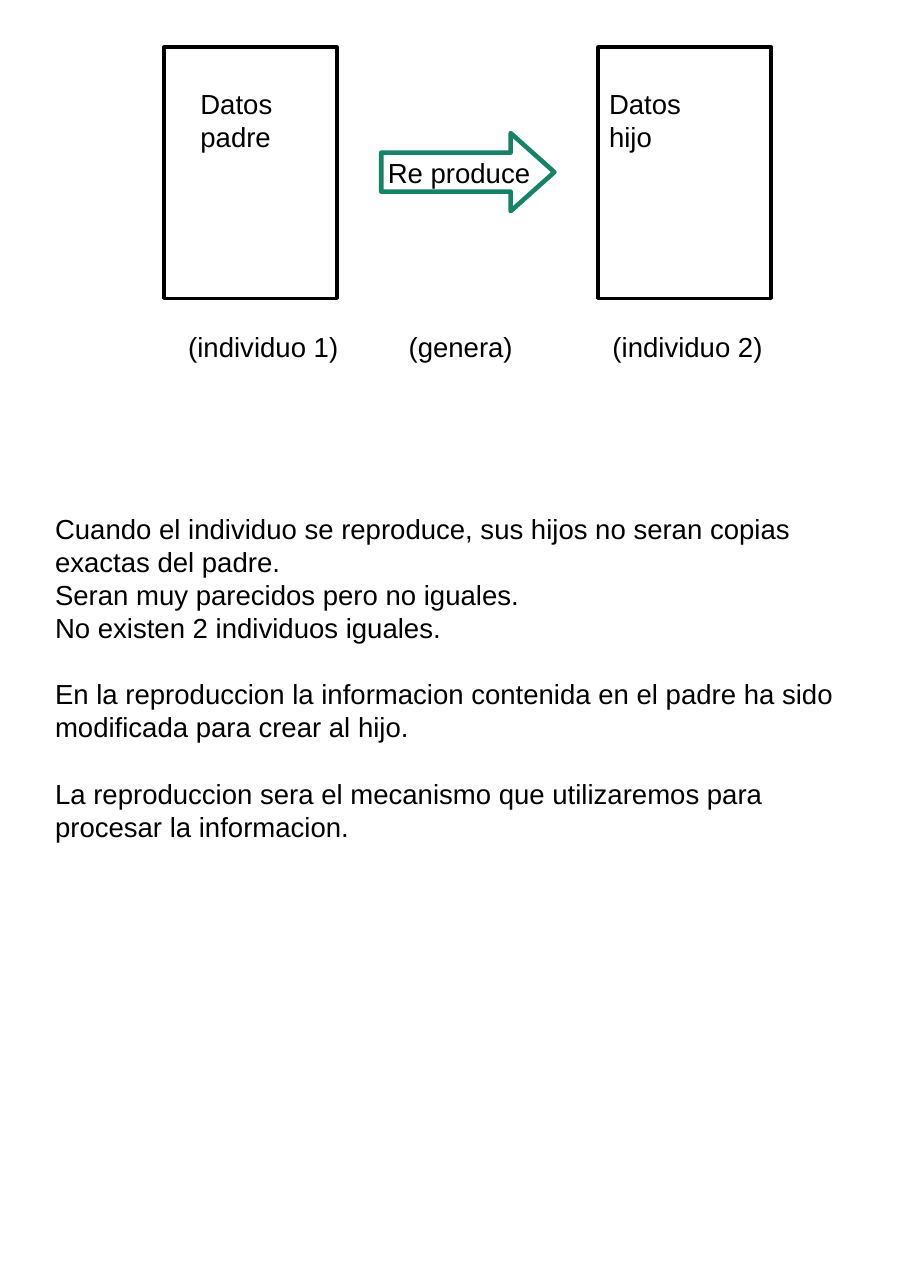
"""Build the slide on how a parent individual reproduces into a child."""
from dataclasses import dataclass

from pptx import Presentation
from pptx import util as u
from pptx.dml.color import RGBColor
from pptx.enum import shapes, text

BLACK, GREEN = "000000", "158466"
FRAME_TOP, FRAME_WIDTH, FRAME_HEIGHT = 1.09, 3.99, 5.79
DATA_TOP, CAPTION_TOP = 1.88, 7.49
LINE_GAP = 21.7


@dataclass(frozen=True)
class Individual:
    frame_left: float
    data_left: float
    data_width: float
    data: tuple[str, ...]


@dataclass(frozen=True)
class Caption:
    left: float
    wording: str


INDIVIDUALS = (
    Individual(3.78, 4.37, 2.74, ("Datos", "padre")),
    Individual(13.79, 13.79, 3.99, ("Datos", "hijo")),
)
CAPTIONS = (
    Caption(4.09, "(individuo 1)"),
    Caption(9.17, "(genera)"),
    Caption(13.87, "(individuo 2)"),
)
EXPLANATION = (
    "Cuando el individuo se reproduce, sus hijos no seran copias exactas del padre.",
    "Seran muy parecidos pero no iguales.",
    "No existen 2 individuos iguales.",
    "En la reproduccion la informacion contenida en el padre ha sido modificada para crear al hijo.",
    "La reproduccion sera el mecanismo que utilizaremos para procesar la informacion.",
)
SPACED_PARAGRAPHS = (3, 4)


def color(hex_code: str) -> RGBColor:
    return RGBColor.from_string(hex_code)


def add_text(slide, left: float, top: float, width: float, height: float,
             paragraphs: tuple[str, ...], *, size: float = 18, font: str = "Arial",
             ink: str = BLACK, spaced: tuple[int, ...] = ()) -> None:
    box = slide.shapes.add_textbox(u.Cm(left), u.Cm(top), u.Cm(width), u.Cm(height))
    frame = box.text_frame
    frame.word_wrap = True
    frame.vertical_anchor = text.MSO_ANCHOR.TOP
    for index, wording in enumerate(paragraphs):
        paragraph = frame.paragraphs[0] if index == 0 else frame.add_paragraph()
        if index in spaced:
            paragraph.space_before = u.Pt(LINE_GAP)
        run = paragraph.add_run()
        run.text = wording
        run.font.name = font
        run.font.size = u.Pt(size)
        run.font.color.rgb = color(ink)


def add_outline(slide, preset: shapes.MSO_SHAPE, left: float, top: float,
                width: float, height: float, *, line: str, weight: float):
    outline = slide.shapes.add_shape(
        preset, u.Cm(left), u.Cm(top), u.Cm(width), u.Cm(height))
    outline.shadow.inherit = False
    outline.fill.background()
    outline.line.color.rgb = color(line)
    outline.line.width = u.Pt(weight)
    return outline


def main() -> None:
    deck = Presentation()
    deck.slide_width, deck.slide_height = u.Cm(21), u.Cm(29.7)
    slide = deck.slides.add_slide(deck.slide_layouts[6])

    for person in INDIVIDUALS:
        add_outline(slide, shapes.MSO_SHAPE.RECTANGLE, person.frame_left, FRAME_TOP,
                    FRAME_WIDTH, FRAME_HEIGHT, line=BLACK, weight=2.3)
        add_text(slide, person.data_left, DATA_TOP, person.data_width, 1.68, person.data)

    arrow = add_outline(slide, shapes.MSO_SHAPE.RIGHT_ARROW, 8.79, 3.07, 3.99, 1.8,
                        line=GREEN, weight=3)
    arrow.adjustments[1] = 0.56
    add_text(slide, 8.69, 3.48, 4.7, 1, ("Re produce",))

    for caption in CAPTIONS:
        add_text(slide, caption.left, CAPTION_TOP, FRAME_WIDTH, 1, (caption.wording,))

    add_text(slide, 1.02, 11.68, 18.77, 7.32, EXPLANATION, spaced=SPACED_PARAGRAPHS)
    deck.save("out.pptx")


if __name__ == "__main__":
    main()
